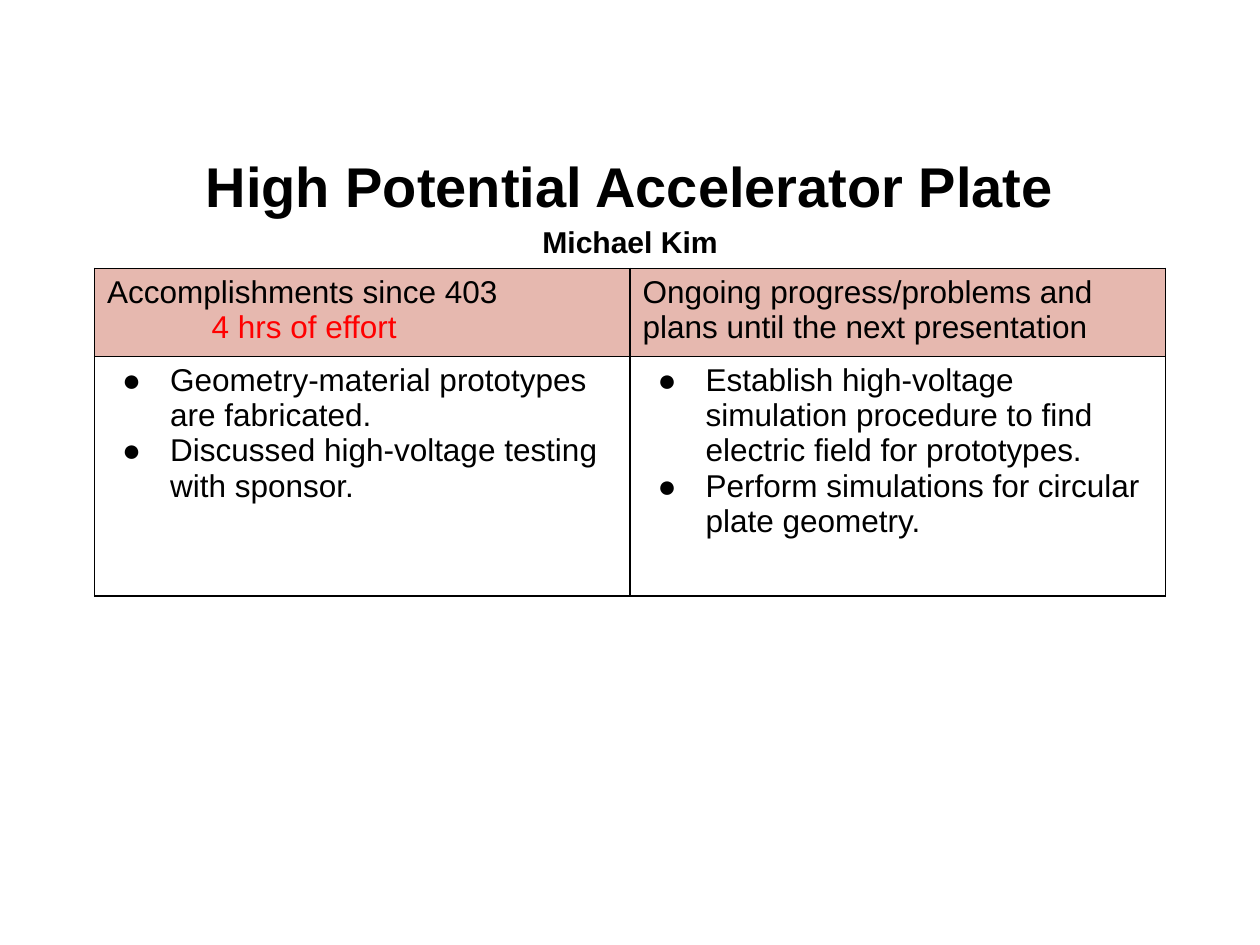
from dataclasses import dataclass

from lxml import etree
from pptx import Presentation
from pptx.dml.color import RGBColor
from pptx.enum.text import MSO_ANCHOR, MSO_AUTO_SIZE, PP_ALIGN
from pptx.oxml.ns import qn
from pptx.util import Inches, Pt

CENTER = PP_ALIGN.CENTER
MIDDLE = MSO_ANCHOR.MIDDLE
NO_AUTOFIT = MSO_AUTO_SIZE.NONE
TITLE_ONLY = 5


@dataclass(frozen=True)
class Theme:
    font: str = "Arial"
    ink: str = "000000"
    accent: str = "FF0000"
    header_fill: str = "E6B8AF"
    body_fill: str = "FFFFFF"
    title_size: float = 32
    author_size: float = 17.2
    table_size: float = 18
    border_width: float = 1


@dataclass(frozen=True)
class Line:
    text: str
    color: str = Theme.ink
    left: float = 0
    hanging: float = 0
    bullet: str = ""


class SlideBuilder:
    """Draws the elements of one slide in a shared theme."""

    def __init__(self, slide, theme):
        self.slide = slide
        self.theme = theme

    def style(self, paragraph, size, color, bold=False):
        font = paragraph.font
        font.name = self.theme.font
        font.size = Pt(size)
        font.bold = bold
        font.color.rgb = RGBColor.from_string(color)

    def title(self, left, top, width, height, lines):
        shape = self.slide.shapes.title
        shape.left, shape.top = Inches(left), Inches(top)
        shape.width, shape.height = Inches(width), Inches(height)
        frame = shape.text_frame
        frame.word_wrap = True
        frame.auto_size = NO_AUTOFIT
        frame.vertical_anchor = MIDDLE
        frame.text = "\n".join(text for text, size in lines)
        for paragraph, (text, size) in zip(frame.paragraphs, lines):
            paragraph.alignment = CENTER
            paragraph.line_spacing = 1.15
            self.style(paragraph, size, self.theme.ink, bold=True)

    def table(self, left, top, column_widths, row_heights, rows):
        table = self.slide.shapes.add_table(
            len(rows), len(column_widths), Inches(left), Inches(top),
            Inches(sum(column_widths)), Inches(sum(row_heights))).table
        for column, width in zip(table.columns, column_widths):
            column.width = Inches(width)
        fills = [self.theme.header_fill, self.theme.body_fill]
        for row, height, fill, cells in zip(table.rows, row_heights, fills, rows):
            row.height = Inches(height)
            for cell, lines in zip(row.cells, cells):
                self.cell(cell, lines, fill)

    def cell(self, cell, lines, fill):
        self.borders(cell)
        cell.fill.solid()
        cell.fill.fore_color.rgb = RGBColor.from_string(fill)
        cell.text = "\n".join(line.text for line in lines)
        for paragraph, line in zip(cell.text_frame.paragraphs, lines):
            self.indent(paragraph, line)
            self.style(paragraph, self.theme.table_size, line.color)

    def indent(self, paragraph, line):
        properties = paragraph._p.get_or_add_pPr()
        properties.set("marL", str(Inches(line.left)))
        properties.set("indent", str(Inches(-line.hanging)))
        if line.bullet:
            color = etree.SubElement(properties, qn("a:buClr"))
            etree.SubElement(color, qn("a:srgbClr"), val=line.color)
            etree.SubElement(properties, qn("a:buFont"), typeface=self.theme.font)
            etree.SubElement(properties, qn("a:buChar"), char=line.bullet)

    def borders(self, cell):
        properties = cell._tc.get_or_add_tcPr()
        for side in ("a:lnL", "a:lnR", "a:lnT", "a:lnB"):
            border = etree.SubElement(
                properties, qn(side), w=str(Pt(self.theme.border_width)))
            fill = etree.SubElement(border, qn("a:solidFill"))
            etree.SubElement(fill, qn("a:srgbClr"), val=self.theme.ink)


def bullets(*texts):
    return [Line(text, left=0.5, hanging=0.38, bullet="●") for text in texts]


def main():
    theme = Theme()
    presentation = Presentation()
    presentation.slide_width = Inches(10)
    presentation.slide_height = Inches(7.5)
    slide = presentation.slides.add_slide(presentation.slide_layouts[TITLE_ONLY])
    builder = SlideBuilder(slide, theme)

    builder.title(0.5, 1.15, 9, 0.88, [
        ("High Potential Accelerator Plate", theme.title_size),
        ("Michael Kim", theme.author_size),
    ])
    headers = [
        [Line("Accomplishments since 403"),
         Line("4 hrs of effort", color=theme.accent, left=0.83)],
        [Line("Ongoing progress/problems and plans until the next presentation")],
    ]
    details = [
        bullets("Geometry-material prototypes are fabricated.",
                "Discussed high-voltage testing with sponsor."),
        bullets("Establish high-voltage simulation procedure to find "
                "electric field for prototypes.",
                "Perform simulations for circular plate geometry."),
    ]
    builder.table(0.75, 2.13, [4.25, 4.25], [0.7, 1.9], [headers, details])
    presentation.save("out.pptx")


if __name__ == "__main__":
    main()
